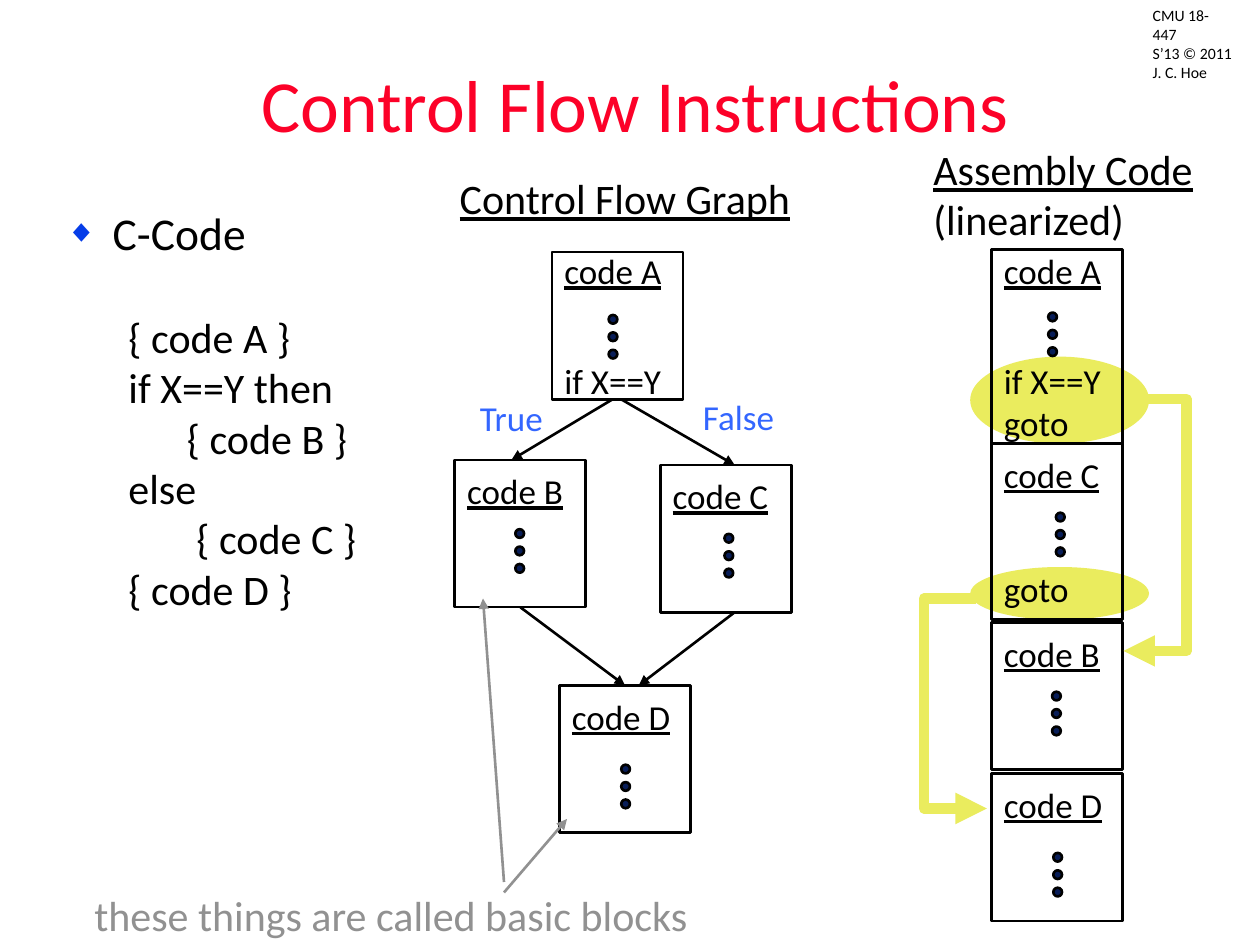
"""Build the slide on control flow instructions and basic blocks."""
from lxml import etree
from pptx import Presentation
from pptx.dml import color
from pptx.enum import shapes, text
from pptx.oxml import ns
from pptx.util import Pt

rgb = color.RGBColor.from_string
BLACK, GREY, LIME, BLUE = "000000", "919191", "EAEC5E", "3366FF"


def write(frame, rows, size, hue=BLACK, under=False, gap=0):
    """Fill a frame, with the first row underlined and a gap below it."""
    for i, row in enumerate(rows):
        para = frame.paragraphs[0] if i == 0 else frame.add_paragraph()
        para.text = row
        para.alignment = text.PP_ALIGN.LEFT
        para.space_before = Pt(gap if i == 1 else 0)
        para.font.size = Pt(size)
        para.font.name = "Calibri"
        para.font.color.rgb = rgb(hue)
        para.font.underline = under and i == 0


def arrow(shape, hue, width):
    """Style a line, give it an arrowhead and drop its shadow."""
    shape.line.color.rgb = rgb(hue)
    shape.line.width = Pt(width)
    head = etree.SubElement(shape.line._get_or_add_ln(), ns.qn("a:tailEnd"))
    head.set("type", "triangle")
    etree.SubElement(shape._element.spPr, ns.qn("a:effectLst"))


prs = Presentation()
prs.slide_width, prs.slide_height = Pt(720), Pt(540)
slide = prs.slides.add_slide(prs.slide_layouts[1])
draw = slide.shapes

title = draw.title
title.left, title.top, title.width, title.height = Pt(56.9), Pt(15.1), Pt(612), Pt(87.1)
frame = title.text_frame
frame.vertical_anchor = text.MSO_ANCHOR.MIDDLE
write(frame, ["Control Flow Instructions"], 42, "FC0128")
frame.paragraphs[0].alignment = text.PP_ALIGN.CENTER

body = slide.placeholders[1]
body.left, body.top, body.width, body.height = Pt(30.2), Pt(113.8), Pt(612), Pt(408.2)
frame = body.text_frame
code = [
    ("C-Code", 27, -27),
    ("{ code A }", 58.5, -22.5),
    ("if X==Y then", 58.5, -22.5),
    ("{ code B }", 69.4, 0),
    ("else", 58.5, -22.5),
    ("{ code C }", 74.8, 0),
    ("{ code D }", 58.5, -22.5),
]
write(frame, [row[0] for row in code], 24, gap=29.3)
for i, (para, (_, left, hang)) in enumerate(zip(frame.paragraphs, code)):
    para.level = min(i, 1)
    props = para._p.get_or_add_pPr()
    props.set("marL", str(Pt(left)))
    props.set("indent", str(Pt(hang)))
    marks = [("buNone", {})]
    if i == 0:
        para.font.size = Pt(26)
        marks = [("buClr", {}), ("buSzPct", {"val": "70000"}), ("buChar", {"char": "◆"})]
    spot = props.index(props.find(ns.qn("a:defRPr")))
    for j, (tag, attrs) in enumerate(marks):
        mark = etree.Element(ns.qn("a:" + tag), attrs)
        if tag == "buClr":
            etree.SubElement(mark, ns.qn("a:srgbClr"), val="063DE8")
        props.insert(spot + j, mark)

for top, high in [(324, 30.2), (203.8, 49.7)]:
    glow = draw.add_shape(shapes.MSO_SHAPE.OVAL, Pt(554.4), Pt(top), Pt(102.2), Pt(high))
    glow.shadow.inherit = False
    glow.fill.solid()
    glow.fill.fore_color.rgb = rgb(LIME)
    glow.line.fill.background()

blocks = [
    (315.4, 144, 84.2, ["code A", "if X==Y"], 39, 347.8, 180, True),
    (259.9, 262.8, 84.2, ["code B"], 0, 294.5, 302.4, True),
    (377.3, 265.7, 84.2, ["code C"], 0, 414, 305.1, True),
    (319.7, 391.7, 84.2, ["code D"], 0, 355, 437, True),
    (566.6, 142.6, 110.9, ["code A", "if X==Y", "goto"], 39, 599, 178.6, False),
    (566.6, 253.4, 100.8, ["code C", "goto"], 41.5, 603.4, 293, False),
    (566.6, 355.7, 84.2, ["code B"], 0, 601.2, 395.3, True),
    (566.6, 442.1, 84.2, ["code D"], 0, 601.9, 487.4, True),
]
boxes = []
for x, y, high, rows, gap, dotx, doty, solid in blocks:
    box = draw.add_shape(shapes.MSO_SHAPE.RECTANGLE, Pt(x), Pt(y), Pt(74.9), Pt(high))
    box.shadow.inherit = False
    if solid:
        box.fill.solid()
        box.fill.fore_color.rgb = rgb("FFFFFF")
    else:
        box.fill.background()
    box.line.color.rgb = rgb(BLACK)
    box.line.width = Pt(1.5)
    frame = box.text_frame
    frame.word_wrap = True
    frame.vertical_anchor = text.MSO_ANCHOR.MIDDLE
    if len(rows) == 1:
        frame.vertical_anchor = text.MSO_ANCHOR.TOP
        frame.margin_top = Pt(5.5)
    write(frame, rows, 20, under=True, gap=gap)
    boxes.append(box)
    for i in range(3):
        dot = draw.add_shape(shapes.MSO_SHAPE.OVAL, Pt(dotx), Pt(doty + 9.95 * i), Pt(5), Pt(5))
        dot.shadow.inherit = False
        dot.fill.solid()
        dot.fill.fore_color.rgb = rgb("081D58")
        dot.line.color.rgb = rgb(BLACK)
        dot.line.width = Pt(1.5)

note = draw.add_group_shape()
links = [
    (draw, 350, 228.2, 292.3, 262.8, BLACK, None, None),
    (draw, 355, 228.2, 419.8, 265.7, BLACK, None, None),
    (draw, 297.4, 347, 357.1, 391.7, BLACK, 1, 3),
    (draw, 419.8, 349.9, 365, 391.7, BLACK, None, None),
    (note.shapes, 288, 510, 324, 468, GREY, None, None),
    (note.shapes, 288, 504, 276, 342, GREY, None, None),
]
for home, x1, y1, x2, y2, hue, start, end in links:
    link = home.add_connector(shapes.MSO_CONNECTOR.STRAIGHT, Pt(x1), Pt(y1), Pt(x2), Pt(y2))
    if start is not None:
        link.begin_connect(boxes[start], 2)
        link.end_connect(boxes[end], 0)
    arrow(link, hue, 1.5)

jumps = [
    [(648, 228), (678, 228), (678, 372), (642, 372)],
    [(558, 342), (528, 342), (528, 462), (564, 462)],
]
for (x, y), *rest in jumps:
    pen = draw.build_freeform(Pt(x), Pt(y))
    pen.add_line_segments([(Pt(a), Pt(b)) for a, b in rest], close=False)
    jump = pen.convert_to_shape()
    jump.fill.background()
    arrow(jump, LIME, 6)

labels = [
    (draw, 651.6, 0, 59.8, 39.6, ["CMU 18-447", "S’13 © 2011", "J. C. Hoe"], 9, BLACK, False),
    (draw, 255.6, 95, 204.5, 36, ["Control Flow Graph"], 24, BLACK, True),
    (draw, 267.1, 223.2, 51.1, 31.7, ["True"], 20, BLUE, False),
    (draw, 394.6, 222.5, 55.4, 31.7, ["False"], 20, BLUE, False),
    (draw, 526.3, 78.5, 162.7, 64.8, ["Assembly Code", "(linearized)"], 24, BLACK, True),
    (note.shapes, 46.8, 504.7, 354.2, 36, ["these things are called basic blocks"], 24, GREY, False),
]
for home, x, y, wide, high, rows, size, hue, under in labels:
    frame = home.add_textbox(Pt(x), Pt(y), Pt(wide), Pt(high)).text_frame
    frame.word_wrap = False
    frame.auto_size = text.MSO_AUTO_SIZE.SHAPE_TO_FIT_TEXT
    write(frame, rows, size, hue, under)

prs.save("out.pptx")
